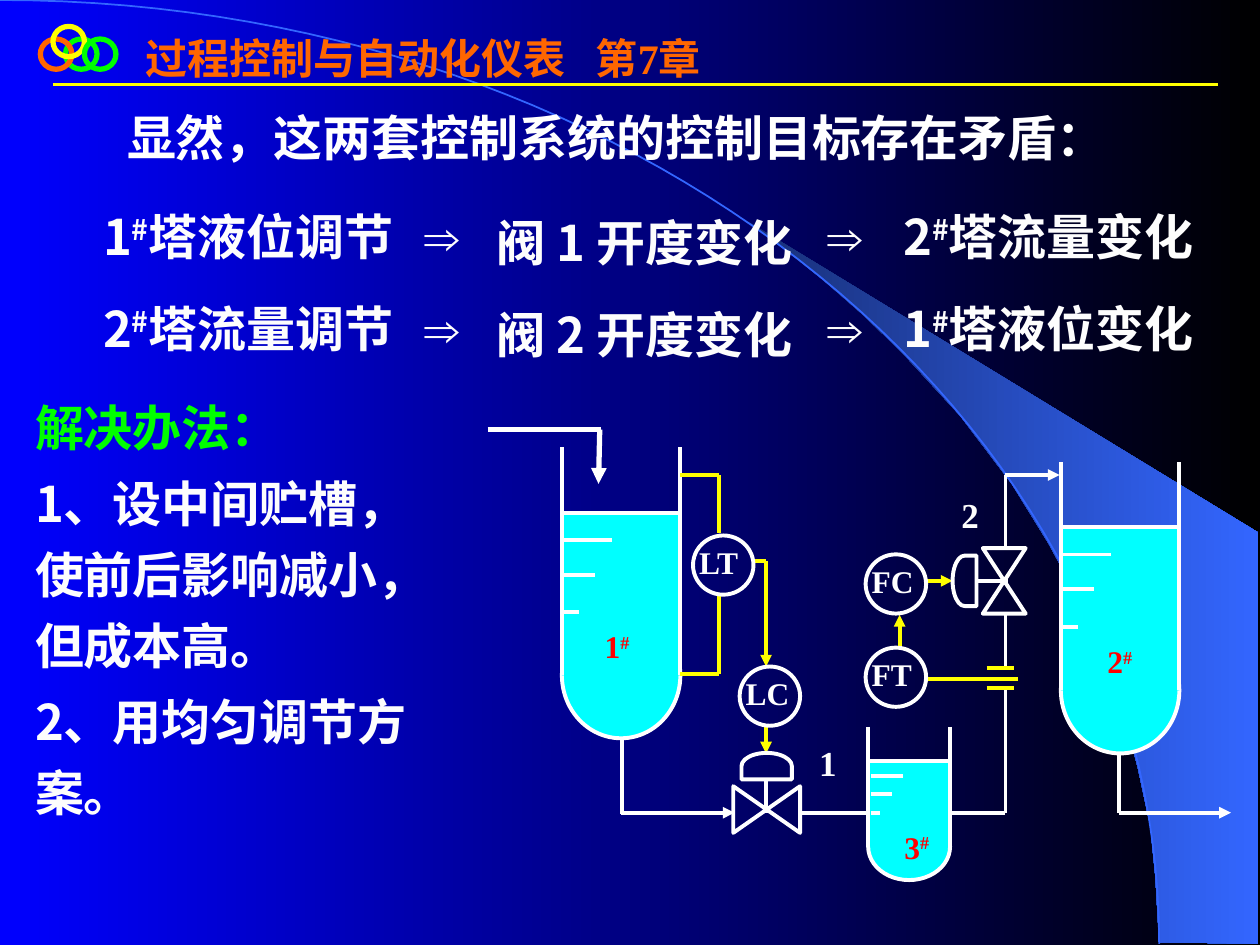
import dataclasses

import pptx
import pptx.dml.color
import pptx.enum.shapes
import pptx.enum.text
import pptx.oxml.ns
import pptx.util
from lxml import etree

KIND = pptx.enum.shapes.MSO_SHAPE
ALIGN = pptx.enum.text.PP_ALIGN
ANCHOR = pptx.enum.text.MSO_ANCHOR


@dataclasses.dataclass(frozen=True)
class Theme:
    white: str = "FFFFFF"
    ink: str = "FDFDFD"
    yellow: str = "FFFF00"
    green: str = "00FF00"
    orange: str = "FF6600"
    red: str = "FF0000"
    water: str = "00FFFF"
    blue: str = "3366FF"
    navy: str = "182F76"
    back: tuple = ("0000FF", "000000")
    serif: str = "Times New Roman"
    sans: str = "Arial"
    cjk: str = "Noto Sans CJK SC"
    body: int = 28
    title: int = 24
    number: int = 20
    label: int = 18
    stroke: float = 2.25


THEME = Theme()


def inch(value):
    return pptx.util.Cm(value * 2.54)


def color(code):
    return pptx.dml.color.RGBColor.from_string(code)


def add(parent, tag, **values):
    return etree.SubElement(parent, pptx.oxml.ns.qn(tag), values)


def blend(fill, codes):
    fill.gradient()
    fill.gradient_angle = 0
    for stop, code in zip(fill.gradient_stops, codes):
        stop.color.rgb = color(code)


def write(par, text, size=THEME.body, tint=THEME.ink, font=THEME.cjk, asian=THEME.cjk,
          align=ALIGN.LEFT, lead=None, before=None, after=None, tab=None):
    if tab:
        stops = add(par._p.get_or_add_pPr(), "a:tabLst")
        add(stops, "a:tab", pos=str(inch(tab)), algn="l")
    par.alignment = align
    par.line_spacing = lead
    if before:
        par.space_before = pptx.util.Pt(before)
    if after:
        par.space_after = pptx.util.Pt(after)
    for part in filter(None, text.partition("#")):
        run = par.add_run()
        run.text = part
        run.font.size = pptx.util.Pt(size)
        run.font.bold = True
        run.font.color.rgb = color(tint)
        run.font.name = font
        props = run._r.get_or_add_rPr()
        add(props, "a:ea", typeface=asian)
        if part == "#":
            props.set("baseline", "30000")


class Board:
    def __init__(self, theme, slide):
        self.theme = theme
        self.slide = slide
        self.shapes = slide.shapes

    def text(self, x, y, w, h, text, wrap=True, anchor=ANCHOR.TOP, **style):
        frame = self.shapes.add_textbox(*map(inch, (x, y, w, h))).text_frame
        frame.word_wrap = wrap
        frame.vertical_anchor = anchor
        write(frame.paragraphs[0], text, **style)
        return frame

    def shape(self, kind, x, y, w, h, fill=None, line=None, width=None, turn=0):
        item = self.shapes.add_shape(kind, *map(inch, (x, y, w, h)))
        item.rotation = turn
        return self.paint(item, fill, line, width)

    def paint(self, item, fill=None, line=None, width=None):
        item.shadow.inherit = False
        if fill:
            item.fill.solid()
            item.fill.fore_color.rgb = color(fill)
        else:
            item.fill.background()
        if line:
            item.line.color.rgb = color(line)
            item.line.width = pptx.util.Pt(width or self.theme.stroke)
        else:
            item.line.fill.background()
        return item

    def outline(self, points, closed, **style):
        spots = [(inch(x), inch(y)) for x, y in points]
        form = self.shapes.build_freeform(*spots[0])
        form.add_line_segments(spots[1:], close=closed)
        return self.paint(form.convert_to_shape(), **style)

    def line(self, x1, y1, x2, y2, tint=None, width=None, arrow=False):
        ends = map(inch, (x1, y1, x2, y2))
        item = self.shapes.add_connector(pptx.enum.shapes.MSO_CONNECTOR.STRAIGHT, *ends)
        item.line.color.rgb = color(tint or self.theme.white)
        item.line.width = pptx.util.Pt(width or self.theme.stroke)
        if arrow:
            add(item.line._get_or_add_ln(), "a:tailEnd", type="triangle")
        add(item._element.spPr, "a:effectLst")

    def tank(self, x, y, w, wall, level, bowl, name, shift):
        t = self.theme
        self.shape(KIND.OVAL, x, y + wall - bowl / 2, w, bowl, t.water, t.white)
        self.shape(KIND.RECTANGLE, x, y + level, w, wall - level, t.water)
        for side in (x, x + w):
            self.line(side, y, side, y + wall)
        self.line(x, y + level, x + w, y + level)
        for depth, reach in ((0.17, 0.4), (0.38, 0.26), (0.61, 0.12)):
            mark = y + level + depth * (wall - level)
            self.line(x + 0.02, mark, x + 0.02 + reach * w, mark)
        self.text(x + shift, y + wall - 0.49 * bowl, 0.68, 0.5, name, size=t.label,
                  tint=t.red, font=t.serif, lead=1.2)

    def meter(self, x, y, name):
        t = self.theme
        self.shape(KIND.OVAL, x, y, 0.48, 0.47, line=t.white)
        self.text(x - 0.05, y - 0.05, 0.68, 0.4, name, size=t.label, tint=t.white,
                  font=t.serif, lead=1.2)

    def ring(self, x, y, tint):
        self.shape(KIND.OVAL, x, y, 0.25, 0.24, line=tint, width=3)


def scene(board):
    t = board.theme
    blend(board.slide.background.fill, t.back)
    beam = [(9.2, 7.48), (9.99, 7.49), (9.99, 4.23), (5.89, 1.73), (6.24, 1.99),
            (6.53, 2.22), (6.85, 2.5), (7.16, 2.8), (7.62, 3.3), (8.03, 3.84),
            (8.32, 4.31), (8.58, 4.79), (8.78, 5.28), (8.93, 5.72), (9.03, 6.09),
            (9.13, 6.56), (9.17, 6.96)]
    blend(board.outline(beam, True).fill, (t.navy, t.blue))
    arc = []
    for step in range(61):
        s = step / 60
        r = 1 - s
        arc.append((3 * r * r * s * 5.08 + 3 * r * s * s * 9.2 + s ** 3 * 9.2,
                    3 * r * s * s * 3.35 + s ** 3 * 7.49))
    board.outline(arc, False, line=t.blue, width=1)


def header(board):
    t = board.theme
    board.ring(0.52, 0.31, t.green)
    board.line(0.42, 0.67, 9.67, 0.67, t.yellow, 1.5)
    board.text(1.06, 0.21, 8.42, 0.5, "过程控制与自动化仪表\t第7章", size=t.title,
               tint=t.orange, font=t.serif, tab=3.57)
    for x, y, tint in ((0.32, 0.31, t.orange), (0.42, 0.21, t.yellow), (0.67, 0.31, t.green)):
        board.ring(x, y, tint)


def words(board):
    t = board.theme
    board.text(0.91, 0.8, 8.12, 0.57, "显然，这两套控制系统的控制目标存在矛盾：",
               anchor=ANCHOR.MIDDLE, tint=t.white, font=t.serif)
    rows = (("1#塔液位调节", "阀 1 开度变化", "2#塔流量变化"),
            ("2#塔流量调节", "阀 2 开度变化", "1#塔液位变化"))
    for y, (cause, valve, effect) in zip((1.59, 2.32), rows):
        board.text(0.72, y, 2.66, 0.57, cause)
        board.text(3.68, y, 2.87, 1.13, valve, align=ALIGN.CENTER, lead=1.1, after=7)
        board.text(7.07, y, 2.66, 0.57, effect)
        for x in (3.27, 6.47):
            board.text(x, y, 0.51, 0.57, "⇒", wrap=False, font=t.sans, asian=t.sans)
    frame = board.text(0.18, 3.01, 3.4, 3.56, "解决办法：", tint=t.green, lead=1.2)
    for item in ("1、设中间贮槽，使前后影响减小，但成本高。", "2、用均匀调节方案。"):
        write(frame.add_paragraph(), item, lead=1.2, before=3.5)


def plant(board):
    t = board.theme
    board.tank(4.46, 3.55, 0.94, 1.81, 0.52, 1, "1#", 0.24)
    board.tank(8.42, 3.67, 0.94, 1.81, 0.51, 1, "2#", 0.27)
    board.tank(6.89, 5.77, 0.65, 0.95, 0.27, 0.53, "3#", 0.19)
    board.line(3.87, 3.41, 4.77, 3.41, width=3)
    board.line(4.76, 3.41, 4.75, 3.84, width=3, arrow=True)
    pipes = ((4.94, 5.87, 4.94, 6.46), (6.35, 6.45, 6.89, 6.45), (7.55, 6.45, 7.98, 6.45),
             (7.98, 5.45, 7.98, 6.45), (7.98, 4.88, 7.98, 5.3), (7.98, 3.77, 7.98, 4.35),
             (8.88, 5.98, 8.88, 6.45), (6.08, 6.19, 6.08, 6.45), (7.75, 4.61, 8, 4.61))
    flows = ((4.93, 6.45, 5.83, 6.45), (7.98, 3.77, 8.41, 3.77), (8.88, 6.45, 9.77, 6.45))
    wires = ((5.4, 3.77, 5.71, 3.77), (5.4, 5.35, 5.71, 5.35), (5.71, 3.77, 5.71, 4.23),
             (5.71, 4.72, 5.71, 5.35), (5.98, 4.45, 6.08, 4.45), (7.83, 5.3, 8.05, 5.3),
             (7.83, 5.46, 8.05, 5.46), (8.08, 5.39, 7.35, 5.39))
    signals = ((6.08, 5.77, 6.08, 5.98), (6.08, 4.45, 6.08, 5.29),
               (7.14, 5.15, 7.14, 4.88), (7.35, 4.61, 7.56, 4.61))
    for group, tint, arrow in ((pipes, t.white, False), (flows, t.white, True),
                               (wires, t.yellow, False), (signals, t.yellow, True)):
        for ends in group:
            board.line(*ends, tint=tint, arrow=arrow)
    for kind, x, y, w, h, turn in ((KIND.FLOWCHART_COLLATE, 5.9, 6.16, 0.37, 0.53, 270),
                                   (KIND.FLOWCHART_DELAY, 5.98, 5.88, 0.21, 0.4, 270),
                                   (KIND.FLOWCHART_COLLATE, 7.8, 4.35, 0.34, 0.52, 180),
                                   (KIND.FLOWCHART_DELAY, 7.56, 4.41, 0.19, 0.4, 180)):
        board.shape(kind, x, y, w, h, line=t.white, turn=turn)
    for x, y, name in ((5.5, 4.25, "LT"), (5.87, 5.29, "LC"), (6.87, 4.4, "FC"), (6.87, 5.14, "FT")):
        board.meter(x, y, name)
    for x, y, name in ((6.4, 5.77, "1"), (7.53, 3.8, "2")):
        board.text(x, y, 0.34, 0.5, name, wrap=False, size=t.number, font=t.serif,
                   align=ALIGN.CENTER, lead=1.2)


def main():
    deck = pptx.Presentation()
    deck.slide_width, deck.slide_height = inch(10), inch(7.5)
    board = Board(THEME, deck.slides.add_slide(deck.slide_layouts[6]))
    for draw in (scene, header, words, plant):
        draw(board)
    deck.save("out.pptx")


if __name__ == "__main__":
    main()
